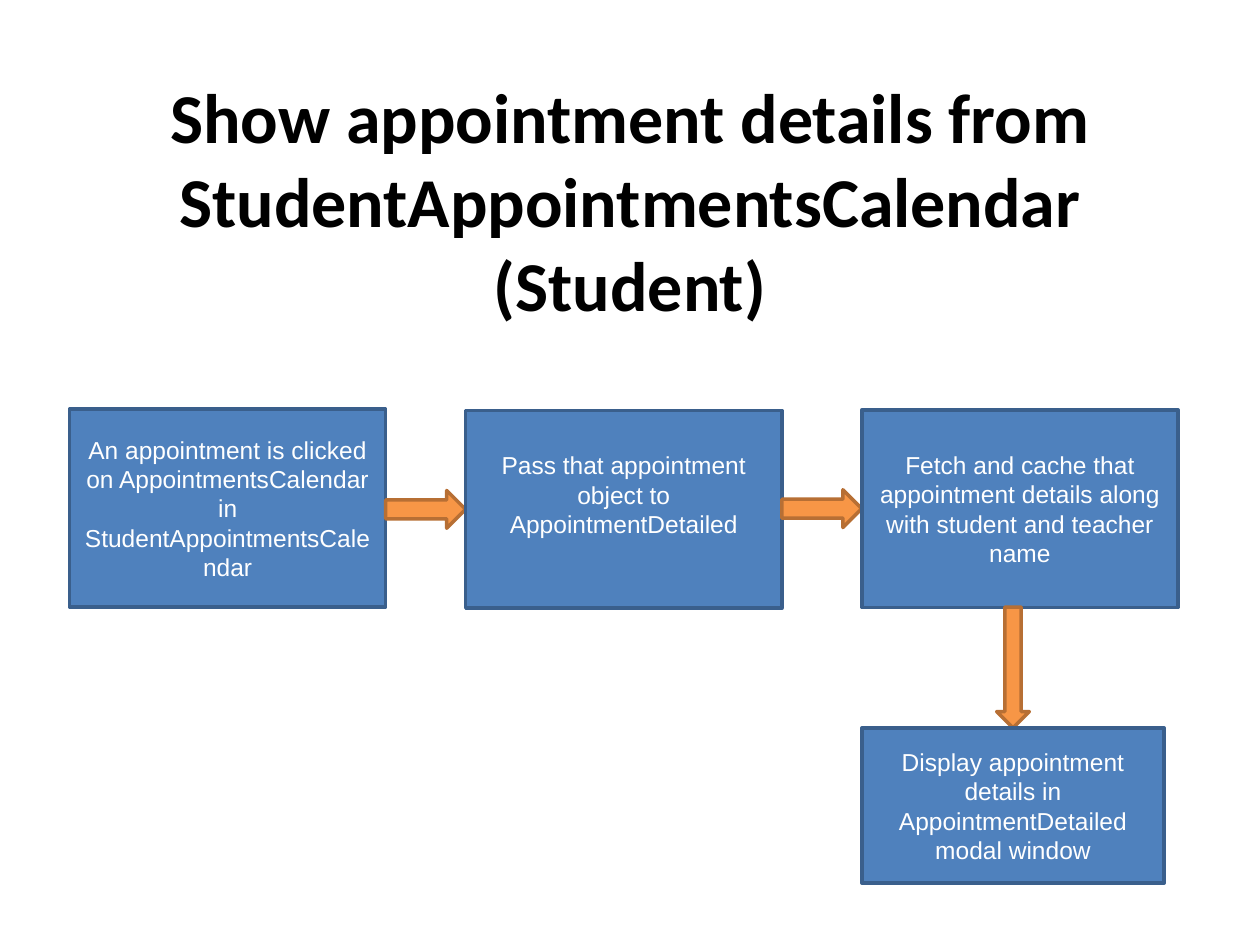
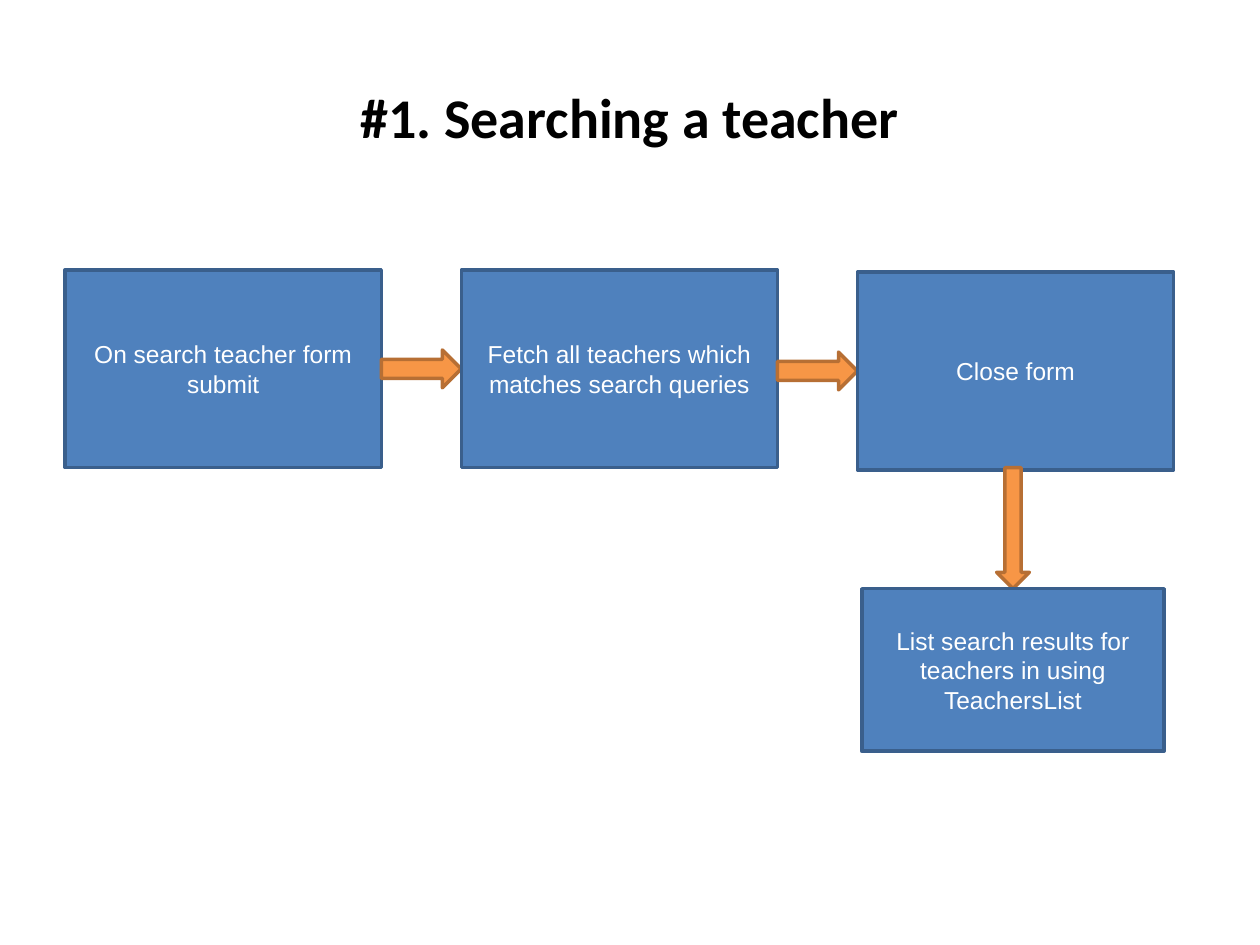
from dataclasses import dataclass

from pptx import Presentation
from pptx.dml.color import RGBColor
from pptx.enum.shapes import MSO_SHAPE as Preset
from pptx.enum.text import MSO_ANCHOR as Anchor, PP_ALIGN as Align
from pptx.util import Pt


@dataclass(frozen=True)
class Theme:
    title_font: str = "Calibri"
    body_font: str = "Arial"
    title_color: str = "000000"
    box_text: str = "FFFFFF"
    box_fill: str = "4F81BD"
    box_line: str = "3A5F8C"
    arrow_fill: str = "F79646"
    arrow_line: str = "B76F34"
    body_size: float = 14
    line_width: float = 2


THEME = Theme()

STEP_WIDTH, STEP_HEIGHT = 180.7, 113
STEP_GAP = 45.7
ARROW_THICKNESS = 21.6
DOWN_LENGTH, DOWN_THICKNESS = 69.1, 18.7
RESULT_LEFT, RESULT_WIDTH = 492.5, 172.8


def write(frame, text, font, size, color, bold=False):
    frame.word_wrap = True
    frame.vertical_anchor = Anchor.MIDDLE
    frame.text = text
    for para in frame.paragraphs:
        para.alignment = Align.CENTER
        for span in para.runs:
            span.font.name = font
            span.font.size = Pt(size)
            span.font.bold = bold
            span.font.color.rgb = RGBColor.from_string(color)


def add_title(page, text, size, height):
    box = page.shapes.add_textbox(Pt(36), Pt(21.6), Pt(648), Pt(height))
    write(box.text_frame, text, THEME.title_font, size, THEME.title_color, bold=True)


def add_outlined(page, preset, bounds, fill, line):
    shape = page.shapes.add_shape(preset, *(Pt(length) for length in bounds))
    shape.shadow.inherit = False
    shape.fill.solid()
    shape.fill.fore_color.rgb = RGBColor.from_string(fill)
    shape.line.color.rgb = RGBColor.from_string(line)
    shape.line.width = Pt(THEME.line_width)
    return shape


def add_box(page, text, *bounds, lift=0):
    """Add a labelled box; lift is extra room kept free below the text."""
    box = add_outlined(page, Preset.RECTANGLE, bounds, THEME.box_fill, THEME.box_line)
    write(box.text_frame, text, THEME.body_font, THEME.body_size, THEME.box_text)
    box.text_frame.margin_bottom = Pt(3.6 + lift)


def add_arrow(page, preset, *bounds):
    add_outlined(page, preset, bounds, THEME.arrow_fill, THEME.arrow_line)


def add_flow(page, left, top, steps, result, result_height):
    """Draw a row of (text, drop, lift) steps, then the result under the last."""
    for index, (text, drop, lift) in enumerate(steps):
        step_left = left + index * (STEP_WIDTH + STEP_GAP)
        step_top = top + drop
        if index:
            arrow_top = step_top + (STEP_HEIGHT - ARROW_THICKNESS) / 2
            add_arrow(page, Preset.RIGHT_ARROW, step_left - STEP_GAP, arrow_top,
                      STEP_GAP, ARROW_THICKNESS)
        add_box(page, text, step_left, step_top, STEP_WIDTH, STEP_HEIGHT, lift=lift)

    row_bottom = top + STEP_HEIGHT
    arrow_left = RESULT_LEFT + (RESULT_WIDTH - DOWN_THICKNESS) / 2
    add_arrow(page, Preset.DOWN_ARROW, arrow_left, row_bottom,
              DOWN_THICKNESS, DOWN_LENGTH)
    add_box(page, result, RESULT_LEFT, row_bottom + DOWN_LENGTH,
            RESULT_WIDTH, result_height)


def main():
    deck = Presentation()
    deck.slide_width, deck.slide_height = Pt(720), Pt(540)
    blank = deck.slide_layouts[6]

    details = deck.slides.add_slide(blank)
    add_title(details, "Show appointment details from "
              "StudentAppointmentsCalendar\v(Student)", size=40, height=184.3)
    add_flow(details, 39.7, 233.9, [
        ("An appointment is clicked on AppointmentsCalendar in "
         "StudentAppointmentsCalendar", 0, 0),
        ("Pass that appointment object to AppointmentDetailed", 0.7, 16.8),
        ("Fetch and cache that appointment details along with student "
         "and teacher name", 0.3, 0),
    ], "Display appointment details in AppointmentDetailed modal window", 88.6)

    search = deck.slides.add_slide(blank)
    add_title(search, "#1. Searching a teacher", size=32, height=90)
    add_flow(search, 37.2, 154.3, [
        ("On search teacher form submit", 0, 0),
        ("Fetch all teachers which matches search queries", 0, 0),
        ("Close form", 1.2, 0),
    ], "List search results for teachers in using TeachersList", 92.9)

    deck.save("out.pptx")


if __name__ == "__main__":
    main()
